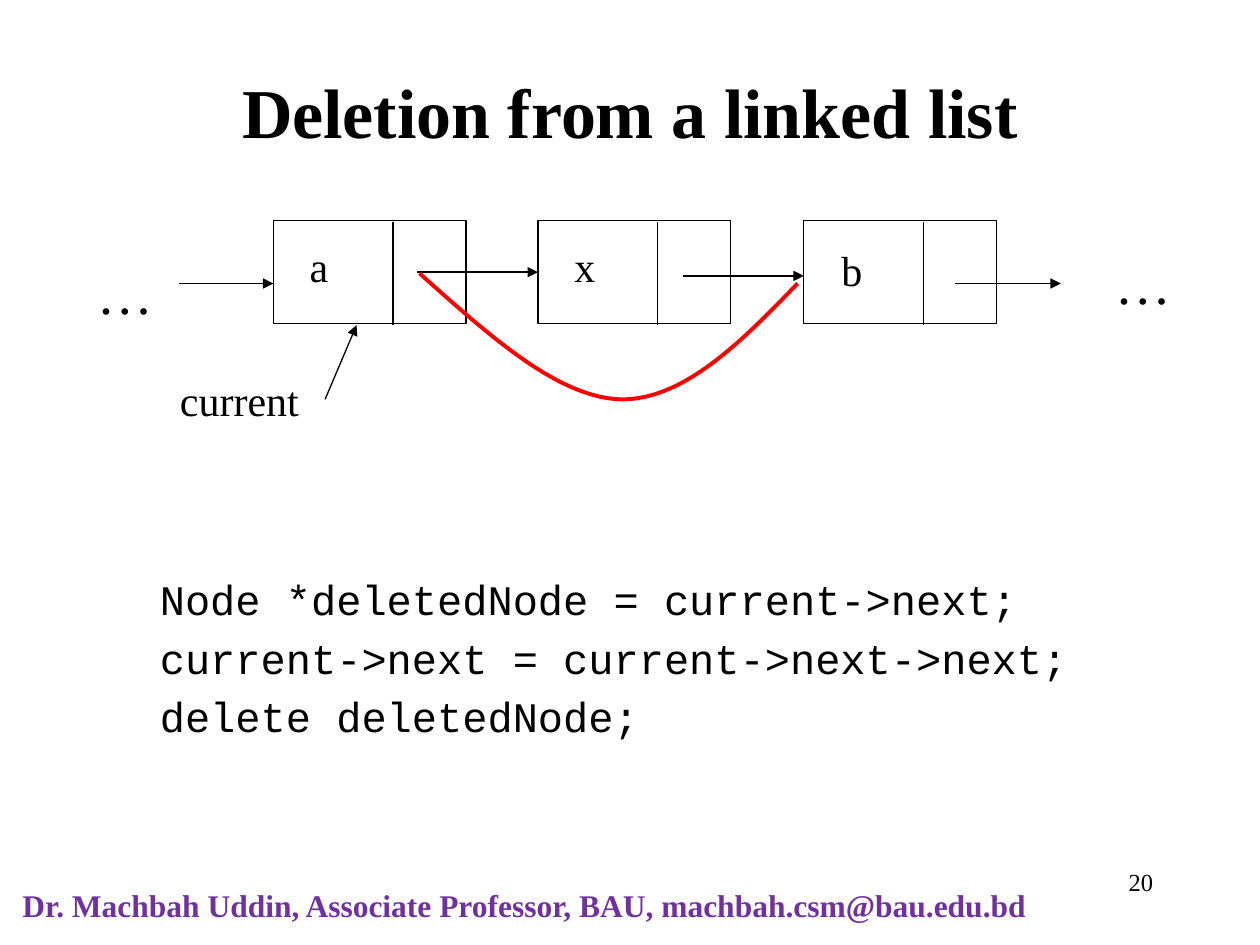
from pptx import Presentation
from pptx import util as u
from pptx.dml.color import RGBColor
from pptx.enum import shapes, text
from pptx.oxml.ns import qn
from lxml import etree

PX = 9144  # EMU per px, 100 px to the inch
BLACK = RGBColor(0x00, 0x00, 0x00)
WHITE = RGBColor(0xFF, 0xFF, 0xFF)
RED = RGBColor(0xFF, 0x00, 0x00)
PURPLE = RGBColor(0x70, 0x30, 0xA0)
SERIF, MONO = "Times New Roman", "Courier New"
NODE_WIDTH, NODE_HEIGHT = 153, 82


def px(*lengths):
    return [u.Emu(length * PX) for length in lengths]


def add_text(slide, box, lines, size, font=SERIF, color=BLACK, bold=False,
             align=text.PP_ALIGN.LEFT, anchor=text.MSO_ANCHOR.TOP, gap=0, hanging=0):
    frame = slide.shapes.add_textbox(*px(*box)).text_frame
    frame.word_wrap = True
    frame.vertical_anchor = anchor
    for index, line in enumerate(lines):
        paragraph = frame.paragraphs[0] if index == 0 else frame.add_paragraph()
        paragraph.alignment = align
        if hanging:
            properties = paragraph._p.get_or_add_pPr()
            properties.set("marL", str(hanging * PX))
            properties.set("indent", str(-hanging * PX))
        if index and gap:
            paragraph.space_before = u.Pt(gap)
        run = paragraph.add_run()
        run.text = line
        run.font.name = font
        run.font.size = u.Pt(size)
        run.font.bold = bold
        run.font.color.rgb = color


def add_line(slide, start, end, arrow=False):
    line = slide.shapes.add_connector(shapes.MSO_CONNECTOR.STRAIGHT, *px(*start, *end))
    line.line.color.rgb = BLACK
    line.line.width = u.Pt(0.75)
    if arrow:
        etree.SubElement(line.line._get_or_add_ln(), qn("a:tailEnd"), type="triangle")
    etree.SubElement(line._element.spPr, qn("a:effectLst"))


def add_node(slide, left, top, letter, letter_left, letter_top):
    """One list node: a rectangle split into a value and a pointer cell."""
    shape = slide.shapes.add_shape(
        shapes.MSO_SHAPE.RECTANGLE, *px(left, top, NODE_WIDTH, NODE_HEIGHT))
    shape.shadow.inherit = False
    shape.fill.solid()
    shape.fill.fore_color.rgb = WHITE
    shape.line.color.rgb = BLACK
    shape.line.width = u.Pt(0.75)
    add_line(slide, (left + 95, top + 1), (left + 95, top + 83))
    add_text(slide, (left + letter_left, top + letter_top, 77, 61), [letter], 24)


def add_curve(slide, start, segments):
    """The red bypass link, traced along cubic curves."""
    steps = 30
    points = []
    origin = start
    for control_1, control_2, end in segments:
        for step in range(1, steps + 1):
            t = step / steps
            s = 1 - t
            points.append(tuple(
                s**3 * a + 3 * s * s * t * b + 3 * s * t * t * c + t**3 * d
                for a, b, c, d in zip(origin, control_1, control_2, end)))
        origin = end
    builder = slide.shapes.build_freeform(start[0] * PX, start[1] * PX)
    builder.add_line_segments([(x * PX, y * PX) for x, y in points], close=False)
    curve = builder.convert_to_shape()
    curve.shadow.inherit = False
    curve.fill.background()
    curve.line.color.rgb = RED
    curve.line.width = u.Pt(2.25)


def add_list_diagram(slide, left, top):
    def at(x, y):
        return left + x, top + y

    # Nodes
    for x, letter, letter_x, letter_y in (
            (150, "a", 19, 11), (360, "x", 19, 11), (571, "b", 20, 14)):
        add_node(slide, *at(x, 0), letter, letter_x, letter_y)

    # Links
    for x, y, end_x in ((75, 50, 150), (264, 41, 360), (475, 44, 571), (691, 50, 775)):
        add_line(slide, at(x, y), at(end_x, y), arrow=True)

    # Continuation marks
    for x, y in ((0, 25), (808, 17)):
        add_text(slide, (*at(x, y), 83, 63), ["…"], 32)

    # Bypass link
    add_curve(slide, at(266, 42), [
        (at(321, 91), at(375, 140), at(425, 142)),
        (at(475, 143), at(521, 97), at(566, 50))])

    # Current pointer
    add_text(slide, (*at(66, 117), 150, 50), ["current"], 24)
    add_line(slide, at(191, 142), at(216, 83), arrow=True)


def add_title(slide, box):
    add_text(slide, box, ["Deletion from a linked list"], 40, bold=True,
             align=text.PP_ALIGN.CENTER, anchor=text.MSO_ANCHOR.MIDDLE)


def add_code(slide, box):
    add_text(slide, box, [
        "Node *deletedNode = current->next;",
        "current->next = current->next->next;",
        "delete deletedNode;",
    ], 24, font=MONO, gap=4.8, hanging=38)


def add_footer(slide, left, top):
    add_text(slide, (left, top + 15, 917, 40),
             ["Dr. Machbah Uddin, Associate Professor, BAU, machbah.csm@bau.edu.bd"],
             18, color=PURPLE, bold=True)
    add_text(slide, (left + 709, top, 208, 50), ["20"], 14, align=text.PP_ALIGN.RIGHT)


def main():
    presentation = Presentation()
    presentation.slide_width, presentation.slide_height = px(1000, 750)
    slide = presentation.slides.add_slide(presentation.slide_layouts[6])
    add_footer(slide, 8, 683)
    add_title(slide, (75, 50, 850, 75))
    add_code(slide, (117, 450, 792, 208))
    add_list_diagram(slide, 67, 175)
    presentation.save("out.pptx")


if __name__ == "__main__":
    main()
